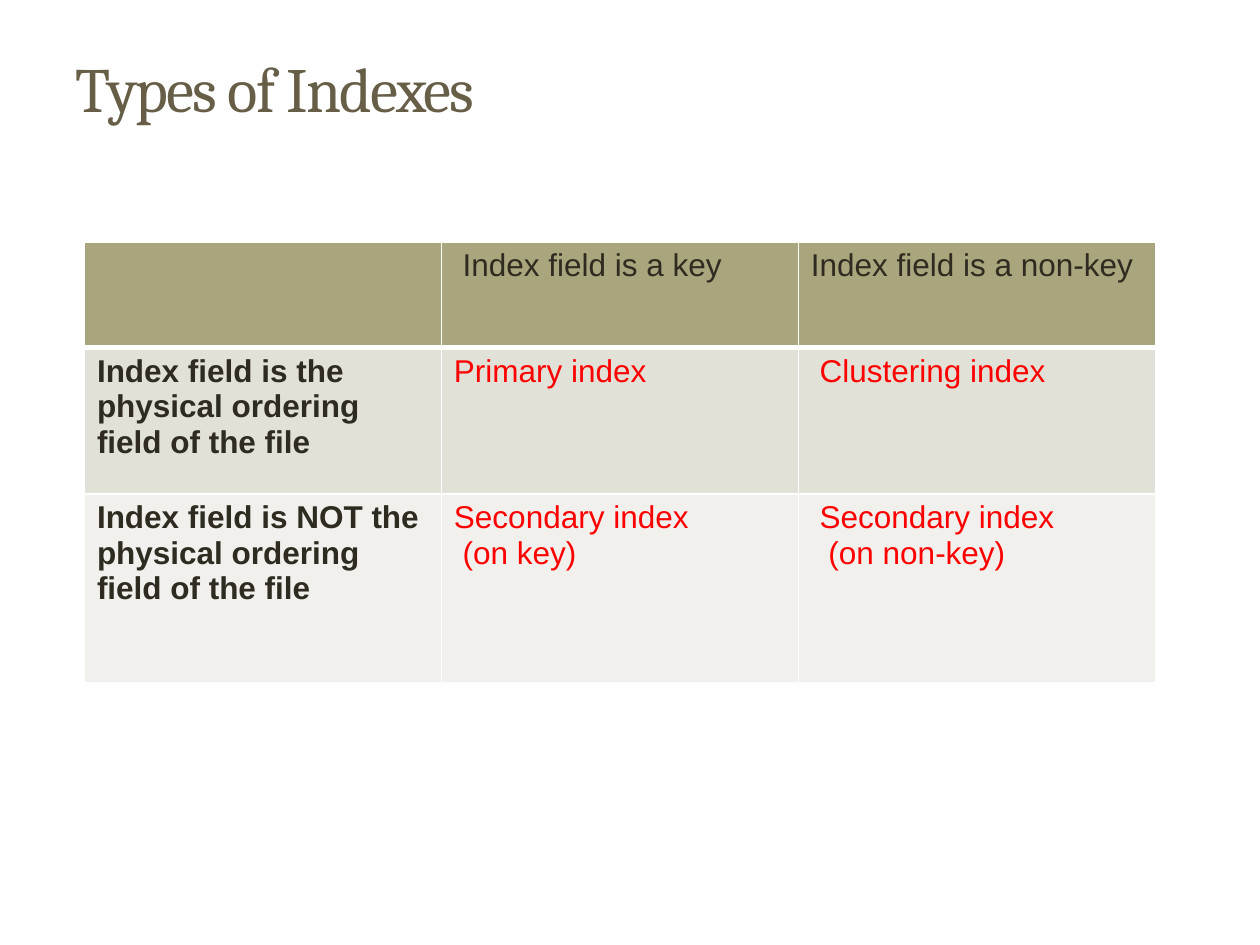
"""Build a slide that sorts index types by key and by physical ordering."""
from pptx import Presentation
from pptx.dml.color import RGBColor
from pptx.enum.text import MSO_ANCHOR
from pptx.oxml.ns import qn
from pptx.util import Inches, Pt
from lxml.etree import SubElement

WHITE = RGBColor(0xFF, 0xFF, 0xFF)
BROWN = RGBColor(0x67, 0x5E, 0x47)
DARK = RGBColor(0x2F, 0x2B, 0x20)
RED = RGBColor(0xFF, 0x00, 0x00)
ROW_FILLS = [RGBColor(0xA9, 0xA5, 0x7C), RGBColor(0xE2, 0xE1, 0xD7), RGBColor(0xF1, 0xF0, 0xEC)]
ROW_HEIGHTS = [0.84, 1.16, 1.5]
TABLE_LEFT, TABLE_TOP, TABLE_WIDTH = 0.67, 1.92, 8.5
INDENT = Pt(5)

CELLS = [
    [[], [("Index field is a key", 1)], [("Index field is a non-key", 0)]],
    [[("Index field is the physical ordering field of the file", 0)],
     [("Primary index", 0)],
     [("Clustering index", 1)]],
    [[("Index field is NOT the physical ordering field of the file", 0)],
     [("Secondary index", 0), ("(on key)", 1)],
     [("Secondary index", 1), ("(on non-key)", 2)]],
]


def style_run(r, name, size, color, bold=False):
    r.font.name = name
    r.font.size = Pt(size)
    r.font.color.rgb = color
    r.font.bold = bold


def add_title(s, text):
    sp = s.shapes.add_textbox(Inches(0.5), Inches(0.3), Inches(8.33), Inches(0.78))
    tf = sp.text_frame
    tf.word_wrap = True
    tf.vertical_anchor = MSO_ANCHOR.MIDDLE
    tf.text = text
    r = tf.paragraphs[0].runs[0]
    style_run(r, "Cambria", 36, BROWN)
    r.font._element.set("spc", "-100")


def set_borders(cell, bottom):
    tc_pr = cell._tc.get_or_add_tcPr()
    for side, width in (("L", 1), ("R", 1), ("T", 1), ("B", bottom)):
        ln = SubElement(tc_pr, qn(f"a:ln{side}"), w=str(Pt(width)))
        fill = SubElement(ln, qn("a:solidFill"))
        SubElement(fill, qn("a:srgbClr"), val=str(WHITE))


def fill_cell(cell, lines, color, bold):
    tf = cell.text_frame
    tf.text = "\n".join(text for text, _ in lines)
    for p, (_, level) in zip(tf.paragraphs, lines):
        p._p.get_or_add_pPr().set("marL", str(level * INDENT))
        style_run(p.runs[0], "Arial", 18, color, bold)


def add_index_table(s):
    frame = s.shapes.add_table(len(CELLS), len(CELLS[0]), Inches(TABLE_LEFT), Inches(TABLE_TOP),
                               Inches(TABLE_WIDTH), Inches(sum(ROW_HEIGHTS)))
    table = frame.table
    for i, row in enumerate(CELLS):
        table.rows[i].height = Inches(ROW_HEIGHTS[i])
        for j, lines in enumerate(row):
            cell = table.cell(i, j)
            is_header, is_label = i == 0, j == 0
            set_borders(cell, 3 if is_header else 1)
            cell.fill.solid()
            cell.fill.fore_color.rgb = ROW_FILLS[i]
            fill_cell(cell, lines, DARK if is_header or is_label else RED, is_label)


def main():
    prs = Presentation()
    prs.slide_width, prs.slide_height = Inches(10), Inches(7.5)
    s = prs.slides.add_slide(prs.slide_layouts[6])
    add_title(s, "Types of Indexes")
    add_index_table(s)
    prs.save("out.pptx")


if __name__ == "__main__":
    main()
